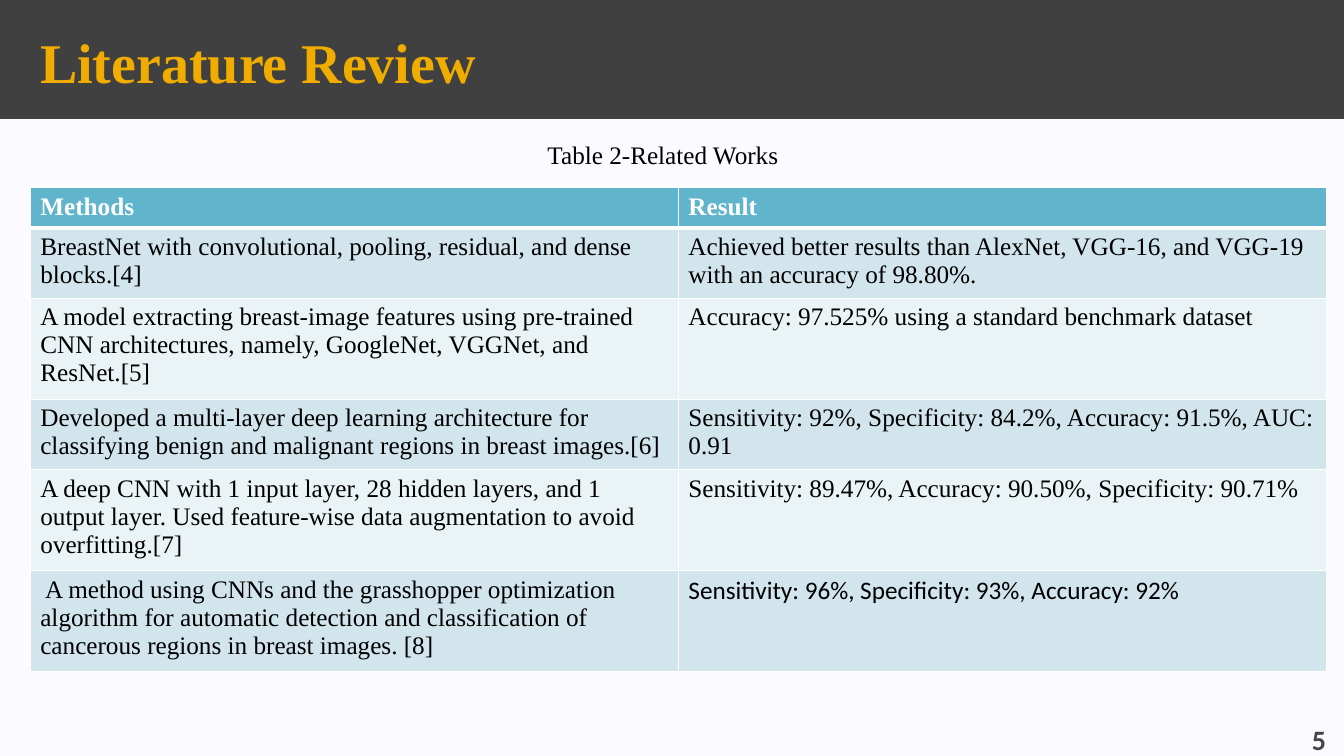
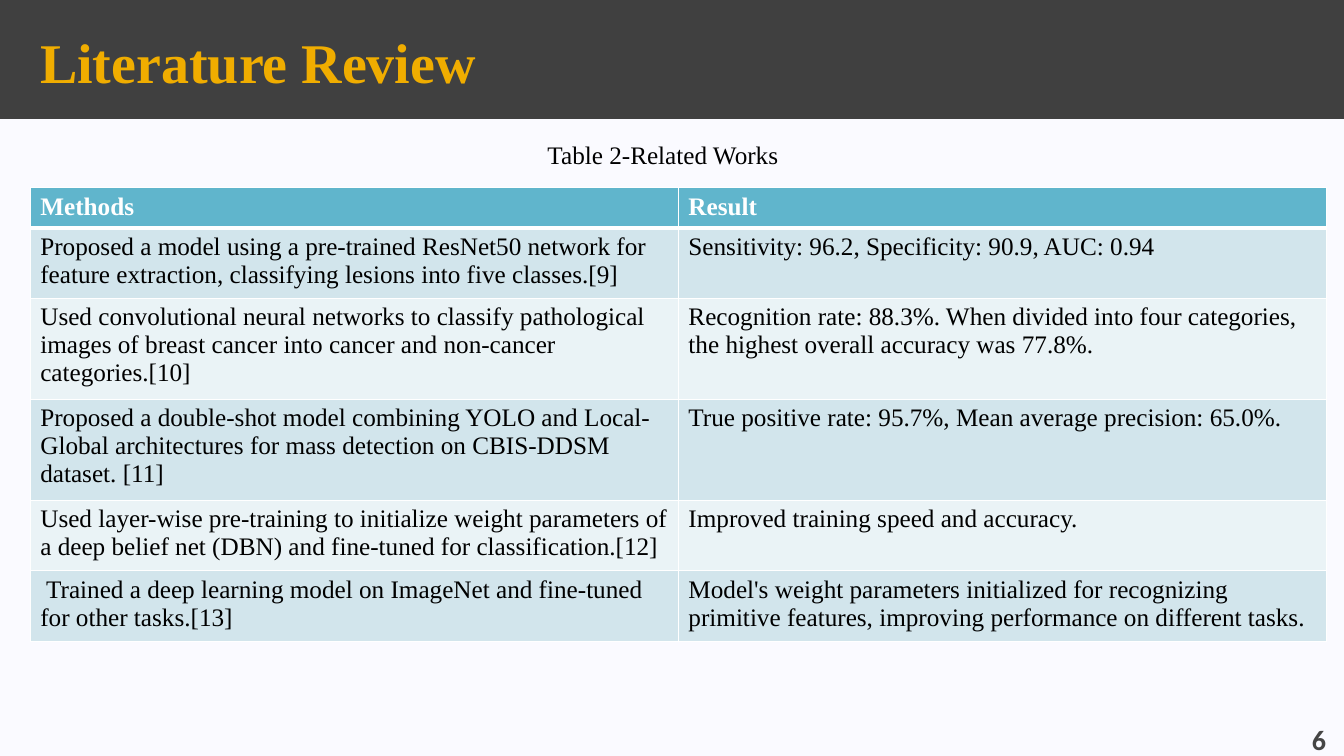
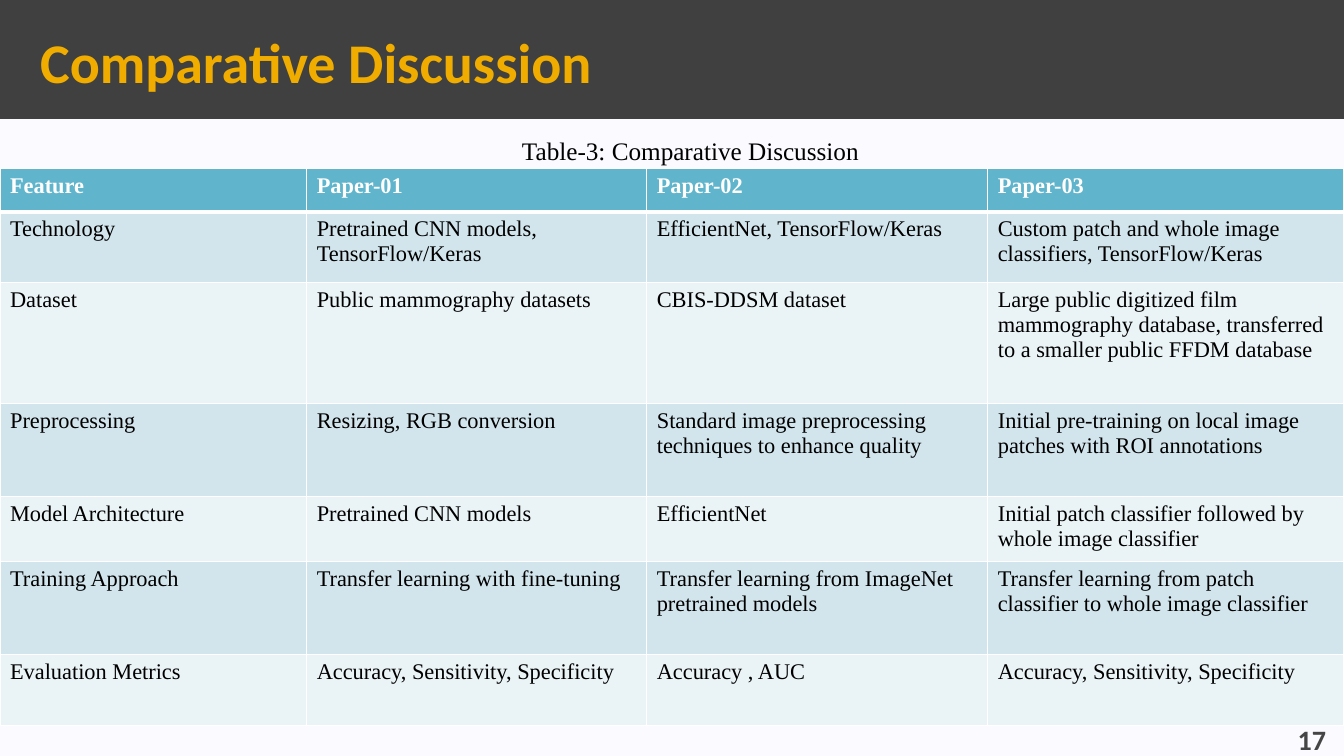
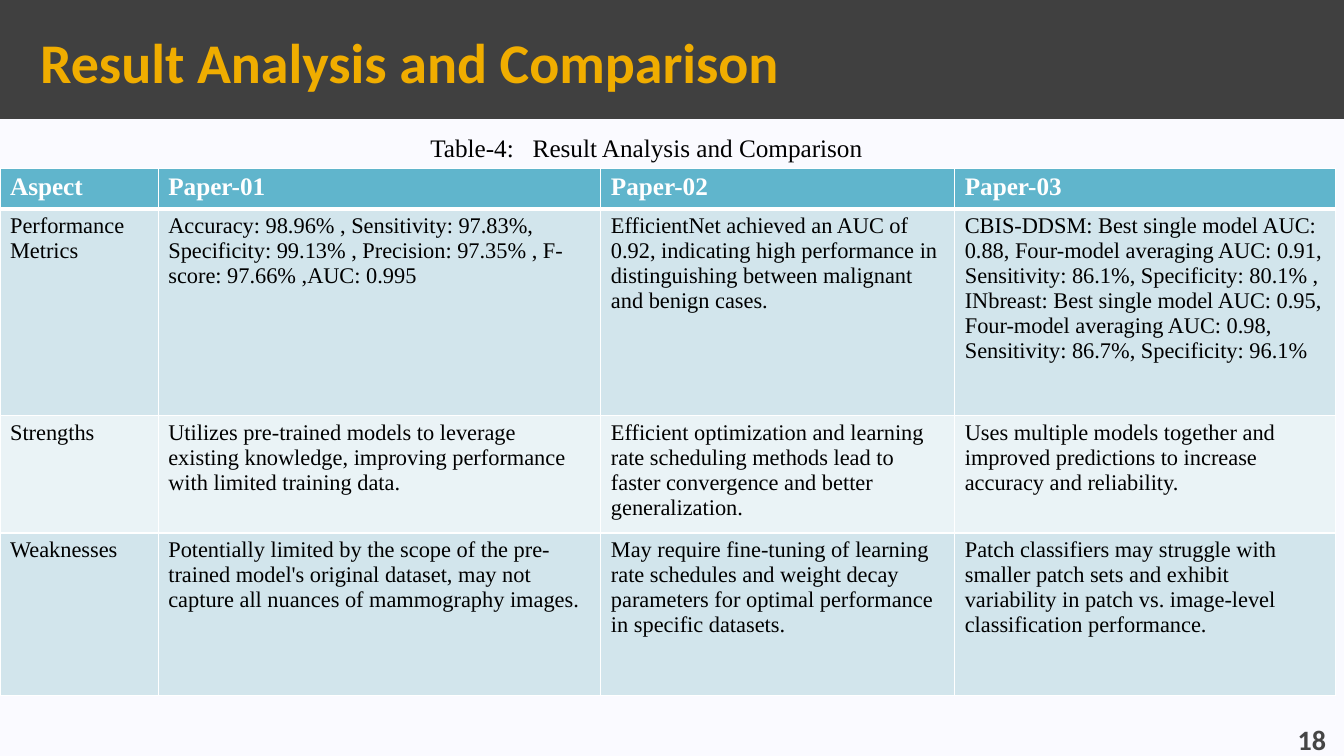
from dataclasses import dataclass

from lxml import etree
from pptx import Presentation, util as u
from pptx.dml.color import RGBColor
from pptx.enum import shapes, text
from pptx.oxml import ns

# Shared look
PAGE = RGBColor(0xFA, 0xFA, 0xFF)
BAND = RGBColor(0x40, 0x40, 0x40)
GOLD = RGBColor(0xF0, 0xAD, 0x00)
GREY = RGBColor(0x45, 0x45, 0x45)
BLACK = RGBColor(0, 0, 0)
WHITE = RGBColor(0xFF, 0xFF, 0xFF)
HEADER = RGBColor(0x60, 0xB5, 0xCC)
STRIPES = (RGBColor(0xEA, 0xF3, 0xF6), RGBColor(0xD2, 0xE5, 0xEC))
SERIF, SANS = "Times New Roman", "Calibri"
SLIDE_W, SLIDE_H = u.Inches(13.33), u.Inches(7.5)


@dataclass(frozen=True)
class Area:
    """A rectangle in percent of the slide's width and height."""
    left: float
    top: float
    width: float
    height: float

    def emu(self) -> tuple[int, int, int, int]:
        return (round(SLIDE_W * self.left / 100), round(SLIDE_H * self.top / 100),
                round(SLIDE_W * self.width / 100), round(SLIDE_H * self.height / 100))


BAND_AREA = Area(0, 0, 100, 15.73)
TITLE_AREA = Area(2.25, 1.07, 95.5, 14)
NUMBER_AREA = Area(91.37, 96, 8.03, 4)


@dataclass(frozen=True)
class Page:
    """One table slide; columns and rows are relative sizes."""
    title: str
    number: int
    caption: str
    caption_area: Area
    table_area: Area
    columns: tuple[float, ...]
    rows: tuple[float, ...]
    cells: tuple[tuple[str, ...], ...]
    title_font: str = SANS
    header_size: int = 18
    body_size: int = 16
    sans_cells: tuple[tuple[int, int], ...] = ()


def write(frame, words: str, *, size: int, font: str = SERIF, color: RGBColor = BLACK,
          bold: bool = False, align=text.PP_ALIGN.LEFT) -> None:
    paragraph = frame.paragraphs[0]
    paragraph.alignment = align
    run = paragraph.add_run()
    run.text = words
    run.font.size, run.font.name, run.font.bold = u.Pt(size), font, bold
    run.font.color.rgb = color


def add_label(slide, area: Area, words: str, *, anchor=text.MSO_ANCHOR.TOP,
              right: float = 0.1, bottom: float = 0.05, **style) -> None:
    frame = slide.shapes.add_textbox(*area.emu()).text_frame
    frame.word_wrap = True
    frame.vertical_anchor = anchor
    frame.margin_right, frame.margin_bottom = u.Inches(right), u.Inches(bottom)
    write(frame, words, **style)


def add_borders(cell, widths: dict[str, float]) -> None:
    """Draw white cell borders; border lines come before the fill in tcPr."""
    properties = cell._tc.get_or_add_tcPr()
    for place, (side, points) in enumerate(widths.items()):
        line = etree.Element(ns.qn(f"a:ln{side}"), w=str(u.Pt(points)))
        fill = etree.SubElement(line, ns.qn("a:solidFill"))
        etree.SubElement(fill, ns.qn("a:srgbClr"), val=str(WHITE))
        properties.insert(place, line)


def share_out(total: int, weights: tuple[float, ...]) -> list[int]:
    return [round(total * weight / sum(weights)) for weight in weights]


def add_grid(slide, page: Page) -> None:
    left, top, width, height = page.table_area.emu()
    table = slide.shapes.add_table(len(page.rows), len(page.columns),
                                   left, top, width, height).table
    for column, size in zip(table.columns, share_out(width, page.columns)):
        column.width = size
    for row, size in zip(table.rows, share_out(height, page.rows)):
        row.height = size

    for r, row_words in enumerate(page.cells):
        is_header = r == 0
        for c, words in enumerate(row_words):
            cell = table.cell(r, c)
            cell.fill.solid()
            cell.fill.fore_color.rgb = HEADER if is_header else STRIPES[r % 2]
            add_borders(cell, {"L": 1, "R": 1, "T": 3 if r == 1 else 1,
                               "B": 3 if is_header else 1})
            write(cell.text_frame, words,
                  size=page.header_size if is_header else page.body_size,
                  font=SANS if (r, c) in page.sans_cells else SERIF,
                  color=WHITE if is_header else BLACK, bold=is_header)


def add_page(deck, page: Page) -> None:
    slide = deck.slides.add_slide(deck.slide_layouts[6])
    slide.background.fill.solid()
    slide.background.fill.fore_color.rgb = PAGE

    # Title band and page number
    band = slide.shapes.add_shape(shapes.MSO_SHAPE.RECTANGLE, *BAND_AREA.emu())
    band.shadow.inherit = False
    band.fill.solid()
    band.fill.fore_color.rgb = BAND
    band.line.fill.background()
    add_label(slide, TITLE_AREA, page.title, anchor=text.MSO_ANCHOR.MIDDLE, right=0.05,
              size=40, font=page.title_font, color=GOLD, bold=True)
    add_label(slide, NUMBER_AREA, str(page.number), anchor=text.MSO_ANCHOR.BOTTOM, bottom=0,
              size=20, font=SANS, color=GREY, bold=True, align=text.PP_ALIGN.RIGHT)

    # Captioned table
    add_grid(slide, page)
    add_label(slide, page.caption_area, page.caption, size=18)


# Content
REVIEW = dict(title="Literature Review", title_font=SERIF, body_size=18,
              caption="Table 2-Related Works", caption_area=Area(40, 17.73, 20, 5.33),
              columns=(1, 1))
REVIEW_HEADER = ("Methods", "Result")
PAPERS = ("Paper-01", "Paper-02", "Paper-03")

PAGES = (
    Page(**REVIEW, number=5, table_area=Area(2.25, 24.8, 96.45, 64),
         rows=(0.4, 0.7, 1, 0.7, 1, 1), sans_cells=((5, 1),),
         cells=(
             REVIEW_HEADER,
             ("BreastNet with convolutional, pooling, residual, and dense blocks.[4]",
              "Achieved better results than AlexNet, VGG-16, and VGG-19 with an accuracy of 98.80%."),
             ("A model extracting breast-image features using pre-trained CNN architectures, "
              "namely, GoogleNet, VGGNet, and ResNet.[5]",
              "Accuracy: 97.525% using a standard benchmark dataset"),
             ("Developed a multi-layer deep learning architecture for classifying benign and "
              "malignant regions in breast images.[6]",
              "Sensitivity: 92%, Specificity: 84.2%, Accuracy: 91.5%, AUC: 0.91"),
             ("A deep CNN with 1 input layer, 28 hidden layers, and 1 output layer. Used "
              "feature-wise data augmentation to avoid overfitting.[7]",
              "Sensitivity: 89.47%, Accuracy: 90.50%, Specificity: 90.71%"),
             (" A method using CNNs and the grasshopper optimization algorithm for automatic "
              "detection and classification of cancerous regions in breast images. [8]",
              "Sensitivity: 96%, Specificity: 93%, Accuracy: 92%"),
         )),
    Page(**REVIEW, number=6, table_area=Area(2.25, 24.8, 96.45, 60),
         rows=(0.4, 0.7, 1, 1, 0.7, 0.7),
         cells=(
             REVIEW_HEADER,
             ("Proposed a model using a pre-trained ResNet50 network for feature extraction, "
              "classifying lesions into five classes.[9]",
              "Sensitivity: 96.2, Specificity: 90.9, AUC: 0.94"),
             ("Used convolutional neural networks to classify pathological images of breast "
              "cancer into cancer and non-cancer categories.[10]",
              "Recognition rate: 88.3%. When divided into four categories, the highest overall "
              "accuracy was 77.8%."),
             ("Proposed a double-shot model combining YOLO and Local-Global architectures for "
              "mass detection on CBIS-DDSM dataset. [11]",
              "True positive rate: 95.7%, Mean average precision: 65.0%."),
             ("Used layer-wise pre-training to initialize weight parameters of a deep belief "
              "net (DBN) and fine-tuned for classification.[12]",
              "Improved training speed and accuracy."),
             (" Trained a deep learning model on ImageNet and fine-tuned for other tasks.[13]",
              "Model's weight parameters initialized for recognizing primitive features, "
              "improving performance on different tasks."),
         )),
    Page(title="Comparative Discussion", number=17,
         caption="Table-3: Comparative Discussion", caption_area=Area(38.1, 17.2, 30.6, 5.33),
         table_area=Area(0, 22.27, 100, 73.7), header_size=16,
         columns=(3.04, 3.37, 3.38, 3.53), rows=(0.43, 0.7, 1.2, 0.92, 0.65, 0.92, 0.7),
         cells=(
             ("Feature", *PAPERS),
             ("Technology", "Pretrained CNN models, TensorFlow/Keras",
              "EfficientNet, TensorFlow/Keras",
              "Custom patch and whole image classifiers, TensorFlow/Keras"),
             ("Dataset", "Public mammography datasets", "CBIS-DDSM dataset",
              "Large public digitized film mammography database, transferred to a smaller "
              "public FFDM database"),
             ("Preprocessing", "Resizing, RGB conversion",
              "Standard image preprocessing techniques to enhance quality",
              "Initial pre-training on local image patches with ROI annotations"),
             ("Model Architecture", "Pretrained CNN models", "EfficientNet",
              "Initial patch classifier followed by whole image classifier"),
             ("Training Approach", "Transfer learning with fine-tuning",
              "Transfer learning from ImageNet pretrained models",
              "Transfer learning from patch classifier to whole image classifier"),
             ("Evaluation Metrics", "Accuracy, Sensitivity, Specificity", "Accuracy , AUC",
              "Accuracy, Sensitivity, Specificity"),
         )),
    Page(title="Result Analysis and Comparison", number=18,
         caption="Table-4:   Result Analysis and Comparison",
         caption_area=Area(31.28, 16.8, 44.4, 5.33),
         table_area=Area(0, 22.27, 99.4, 68.27),
         columns=(1.57, 4.39, 3.51, 3.78), rows=(0.38, 2.05, 1.08, 1.61),
         cells=(
             ("Aspect", *PAPERS),
             ("Performance Metrics",
              "Accuracy: 98.96% , Sensitivity: 97.83%, Specificity: 99.13% , "
              "Precision: 97.35% , F-score: 97.66% ,AUC: 0.995",
              "EfficientNet achieved an AUC of 0.92, indicating high performance in "
              "distinguishing between malignant and benign cases.",
              "CBIS-DDSM: Best single model AUC: 0.88, Four-model averaging AUC: 0.91, "
              "Sensitivity: 86.1%, Specificity: 80.1% , INbreast: Best single model AUC: 0.95, "
              "Four-model averaging AUC: 0.98, Sensitivity: 86.7%, Specificity: 96.1%"),
             ("Strengths",
              "Utilizes pre-trained models to leverage existing knowledge, improving "
              "performance with limited training data.",
              "Efficient optimization and learning rate scheduling methods lead to faster "
              "convergence and better generalization.",
              "Uses multiple models together and improved predictions to increase accuracy "
              "and reliability."),
             ("Weaknesses",
              "Potentially limited by the scope of the pre-trained model's original dataset, "
              "may not capture all nuances of mammography images.",
              "May require fine-tuning of learning rate schedules and weight decay parameters "
              "for optimal performance in specific datasets.",
              "Patch classifiers may struggle with smaller patch sets and exhibit variability "
              "in patch vs. image-level classification performance."),
         )),
)


def main() -> None:
    deck = Presentation()
    deck.slide_width, deck.slide_height = SLIDE_W, SLIDE_H
    for page in PAGES:
        add_page(deck, page)
    deck.save("out.pptx")


if __name__ == "__main__":
    main()
